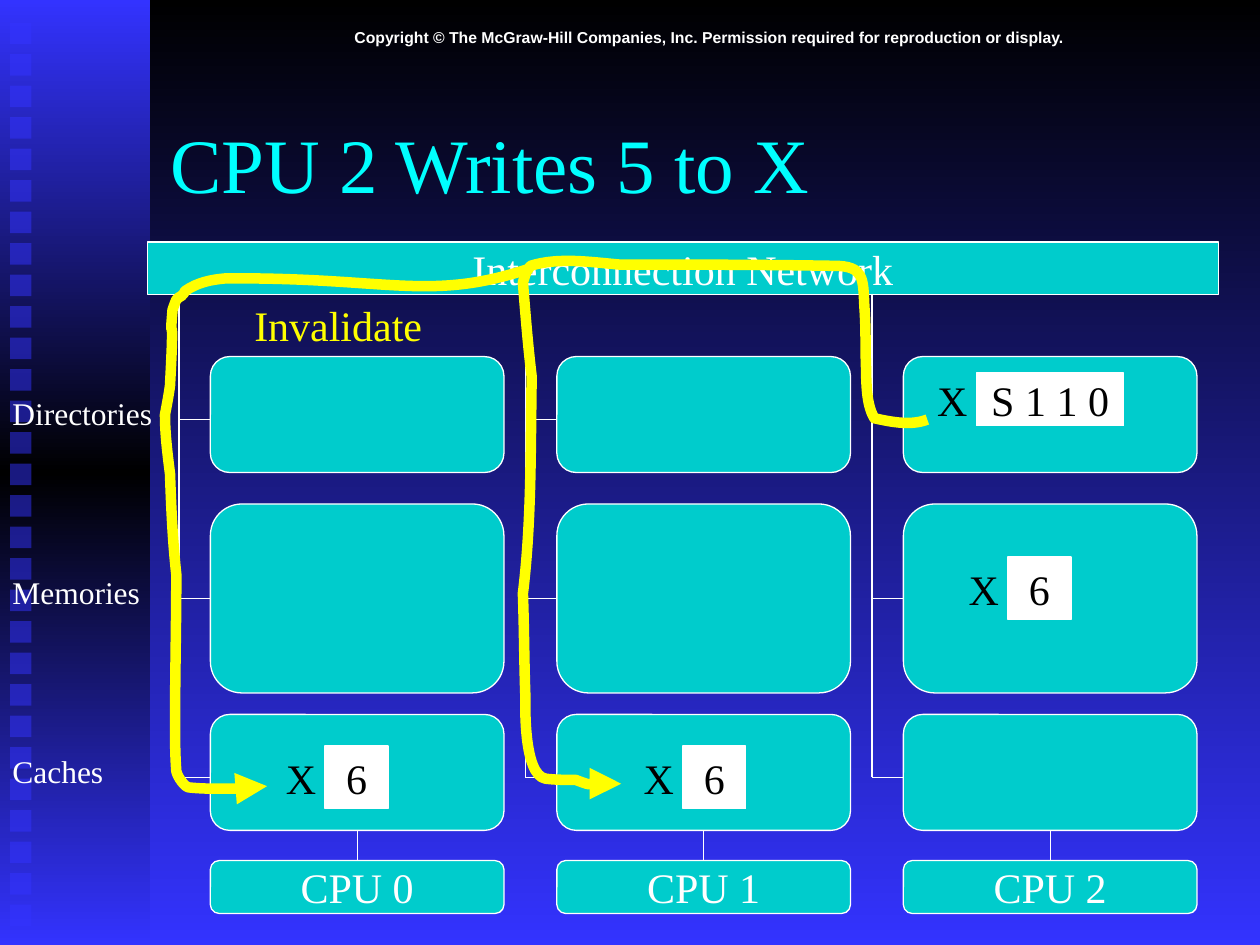
from lxml import etree
from pptx import Presentation
from pptx.dml.color import RGBColor
from pptx.enum.shapes import MSO_CONNECTOR, MSO_SHAPE
from pptx.enum.text import MSO_ANCHOR, MSO_AUTO_SIZE, PP_ALIGN
from pptx.oxml.ns import qn
from pptx.util import Inches, Pt

RECT = MSO_SHAPE.RECTANGLE
ROUNDED = MSO_SHAPE.ROUNDED_RECTANGLE
STRAIGHT = MSO_CONNECTOR.STRAIGHT
LEFT, CENTER = PP_ALIGN.LEFT, PP_ALIGN.CENTER
TOP, MIDDLE = MSO_ANCHOR.TOP, MSO_ANCHOR.MIDDLE
FIXED_SIZE = MSO_AUTO_SIZE.NONE

# Each route is a start point and cubic segments: two control points, then an end.
ROUTE_TO_CPU_1 = (7.36, 3.33), [
    (7.23, 3.38, 7.08, 3.35, 6.94, 3.32), (6.86, 3.19, 6.88, 2.96, 6.87, 2.82),
    (6.87, 2.69, 6.87, 2.56, 6.86, 2.43), (6.85, 2.21, 6.86, 2.11, 6.62, 2.11),
    (6.06, 2.1, 5.49, 2.1, 4.92, 2.1), (4.69, 2.08, 4.43, 2.04, 4.21, 2.11),
    (4.2, 2.13, 4.19, 2.14, 4.18, 2.15), (4.17, 2.18, 4.15, 2.24, 4.15, 2.24),
    (4.17, 2.49, 4.19, 2.74, 4.22, 2.99), (4.21, 3.56, 4.22, 4.14, 4.15, 4.71),
    (4.16, 4.98, 4.16, 5.26, 4.17, 5.53), (4.17, 5.57, 4.15, 6.15, 4.33, 6.18),
    (4.41, 6.19, 4.49, 6.19, 4.57, 6.19), (4.7, 6.24, 4.76, 6.22, 4.93, 6.22),
]
ROUTE_TO_CPU_0 = (4.21, 2.13), [
    (3.4, 2.4, 3.1, 2.2, 1.79, 2.21), (1.68, 2.22, 1.57, 2.24, 1.47, 2.31),
    (1.46, 2.32, 1.46, 2.34, 1.44, 2.35), (1.43, 2.36, 1.41, 2.36, 1.4, 2.38),
    (1.39, 2.4, 1.37, 2.46, 1.37, 2.46), (1.34, 2.82, 1.39, 2.31, 1.35, 3.06),
    (1.34, 3.14, 1.31, 3.29, 1.31, 3.29), (1.31, 3.45, 1.33, 3.6, 1.35, 3.76),
    (1.36, 4.05, 1.37, 4.28, 1.4, 4.56), (1.4, 4.95, 1.39, 5.34, 1.39, 5.74),
    (1.39, 5.87, 1.39, 5.99, 1.4, 6.12), (1.41, 6.17, 1.47, 6.25, 1.5, 6.25),
    (1.59, 6.26, 1.68, 6.26, 1.76, 6.26), (1.86, 6.26, 1.96, 6.26, 2.06, 6.25),
    (2.08, 6.25, 2.12, 6.24, 2.12, 6.24),
]


def rgb(color):
    return RGBColor.from_string(color)


def fill_gradient(fill, owner, colors):
    """Fill with evenly spaced colours from top to bottom; owner holds the fill's XML."""
    fill.gradient()
    fill.gradient_angle = 270
    stops = owner.find(".//" + qn("a:gsLst"))
    stops.clear()
    for index, color in enumerate(colors):
        position = 100000 * index // (len(colors) - 1)
        stop = etree.SubElement(stops, qn("a:gs"), pos=str(position))
        etree.SubElement(stop, qn("a:srgbClr"), val=color)


class Diagram:
    """Draws on one slide in the deck's style."""

    serif = "Times New Roman"
    white, black, yellow = "FFFFFF", "000000", "FFFF00"
    blue, teal, cyan = "3333FF", "00CCCC", "00FFFF"

    def __init__(self, slide):
        self.slide = slide
        self.shapes = slide.shapes

    def set_text(self, box, text, size, color, align=LEFT, anchor=TOP, wrap=False,
                 font=serif, bold=False):
        frame = box.text_frame
        frame.text = text
        frame.auto_size = FIXED_SIZE
        frame.word_wrap = wrap
        frame.vertical_anchor = anchor
        para = frame.paragraphs[0]
        para.alignment = align
        para.font.name = font
        para.font.size = Pt(size)
        para.font.bold = bold
        para.font.color.rgb = rgb(color)

    def title(self, text, left, top, width, height):
        box = self.shapes.title
        box.left, box.top = Inches(left), Inches(top)
        box.width, box.height = Inches(width), Inches(height)
        self.set_text(box, text, 44, self.cyan, anchor=MIDDLE, wrap=True)

    def label(self, text, left, top, width, height, size=24, color=white, **style):
        box = self.shapes.add_textbox(
            Inches(left), Inches(top), Inches(width), Inches(height))
        self.set_text(box, text, size, color, **style)

    def block(self, left, top, width, height, fill=teal, line=white, kind=RECT,
              text="", color=white):
        shape = self.shapes.add_shape(
            kind, Inches(left), Inches(top), Inches(width), Inches(height))
        shape.shadow.inherit = False
        shape.fill.solid()
        shape.fill.fore_color.rgb = rgb(fill)
        if line:
            shape.line.color.rgb = rgb(line)
            shape.line.width = Pt(0.75)
        else:
            shape.line.fill.background()
        if text:
            self.set_text(shape, text, 24, color, CENTER, MIDDLE)
        return shape

    def wire(self, x1, y1, x2, y2):
        line = self.shapes.add_connector(
            STRAIGHT, Inches(x1), Inches(y1), Inches(x2), Inches(y2))
        line.line.color.rgb = rgb(self.white)
        line.line.width = Pt(0.75)
        etree.SubElement(line.element.spPr, qn("a:effectLst"))
        return line

    def side_band(self):
        band = self.block(0, 0, 1.19, 7.5, line=None)
        fill_gradient(band.fill, band.element, [self.blue, self.black, self.blue])
        for index in range(29):
            square = self.block(0.08, 0.18 + 0.25 * index, 0.17, 0.17, self.blue, None)
            color = square.element.spPr.find(".//" + qn("a:srgbClr"))
            etree.SubElement(color, qn("a:alpha"), val="50000")

    def node(self, name, left):
        """One CPU with its directory, memory and cache, wired to the network."""
        rows = [(2.83, 0.92), (4, 1.5), (5.67, 0.92)]
        _, memory, cache = [
            self.block(left, top, 2.33, height, kind=ROUNDED) for top, height in rows]
        cpu = self.block(left, 6.83, 2.33, 0.42, kind=ROUNDED, text=name)
        bus = left - 0.25
        self.wire(bus, 2.33, bus, 6.17)
        self.wire(bus, 6.17, left, 6.17)
        self.wire(bus, 4.75, left, 4.75).end_connect(memory, 1)
        self.wire(bus, 3.33, left, 3.33)
        link = self.wire(left + 1.17, 6.59, left + 1.17, 6.83)
        link.begin_connect(cache, 2)
        link.end_connect(cpu, 0)

    def variable(self, value, left, top, width=0.5, height=0.5, label_top=None):
        """A white value cell with the name X to its left."""
        self.block(left, top, width, height, self.white, text=value, color=self.black)
        self.label("X", left - 0.41, label_top or top, 0.44, 0.5, color=self.black)

    def route(self, start, segments):
        """A thick curved arrow through cubic segments."""
        builder = self.shapes.build_freeform(Inches(start[0]), Inches(start[1]))
        builder.add_line_segments(
            [(Inches(x), Inches(y)) for *_, x, y in segments], close=False)
        shape = builder.convert_to_shape()
        shape.shadow.inherit = False
        shape.fill.background()
        shape.line.color.rgb = rgb(self.yellow)
        shape.line.width = Pt(6)
        outline = shape.element.spPr.find(qn("a:ln"))
        etree.SubElement(outline, qn("a:tailEnd"), type="triangle")
        straights = list(shape.element.iter(qn("a:lnTo")))
        for straight, (x1, y1, x2, y2, *_) in zip(straights, segments):
            curve = etree.Element(qn("a:cubicBezTo"))
            for x, y in ((x1, y1), (x2, y2)):
                etree.SubElement(curve, qn("a:pt"), x=str(Inches(x) - shape.left),
                                 y=str(Inches(y) - shape.top))
            curve.append(straight[0])
            straight.getparent().replace(straight, curve)


def main():
    deck = Presentation()
    deck.slide_width, deck.slide_height = Inches(10), Inches(7.5)
    page = Diagram(deck.slides.add_slide(deck.slide_layouts[5]))
    fill_gradient(page.slide.background.fill, page.slide.element,
                  [page.black, page.blue])

    page.side_band()
    page.label("Copyright © The McGraw-Hill Companies, Inc. Permission required for "
               "reproduction or display.", 1.25, 0.17, 8.75, 0.25, 9,
               align=CENTER, anchor=MIDDLE, wrap=True, font="Arial", bold=True)
    page.title("CPU 2 Writes 5 to X", 1.25, 0.67, 8.5, 1.25)

    page.block(1.17, 1.92, 8.5, 0.42, text="Interconnection Network")
    for index in range(3):
        page.node(f"CPU {index}", 1.67 + 2.75 * index)
    for text, top, width in [("Directories", 3.08, 1.31), ("Memories", 4.5, 1.21),
                             ("Caches", 5.92, 0.92)]:
        page.label(text, 0, top, width, 0.4, 18)

    page.variable("S 1 1 0", 7.75, 2.96, 1.17, 0.42, label_top=2.92)
    for left, top in [(8, 4.42), (2.58, 5.92), (5.42, 5.92)]:
        page.variable("6", left, top)

    page.route(*ROUTE_TO_CPU_1)
    page.route(*ROUTE_TO_CPU_0)
    page.label("Invalidate", 1.92, 2.33, 1.53, 0.5, color=page.yellow)
    deck.save("out.pptx")


if __name__ == "__main__":
    main()
